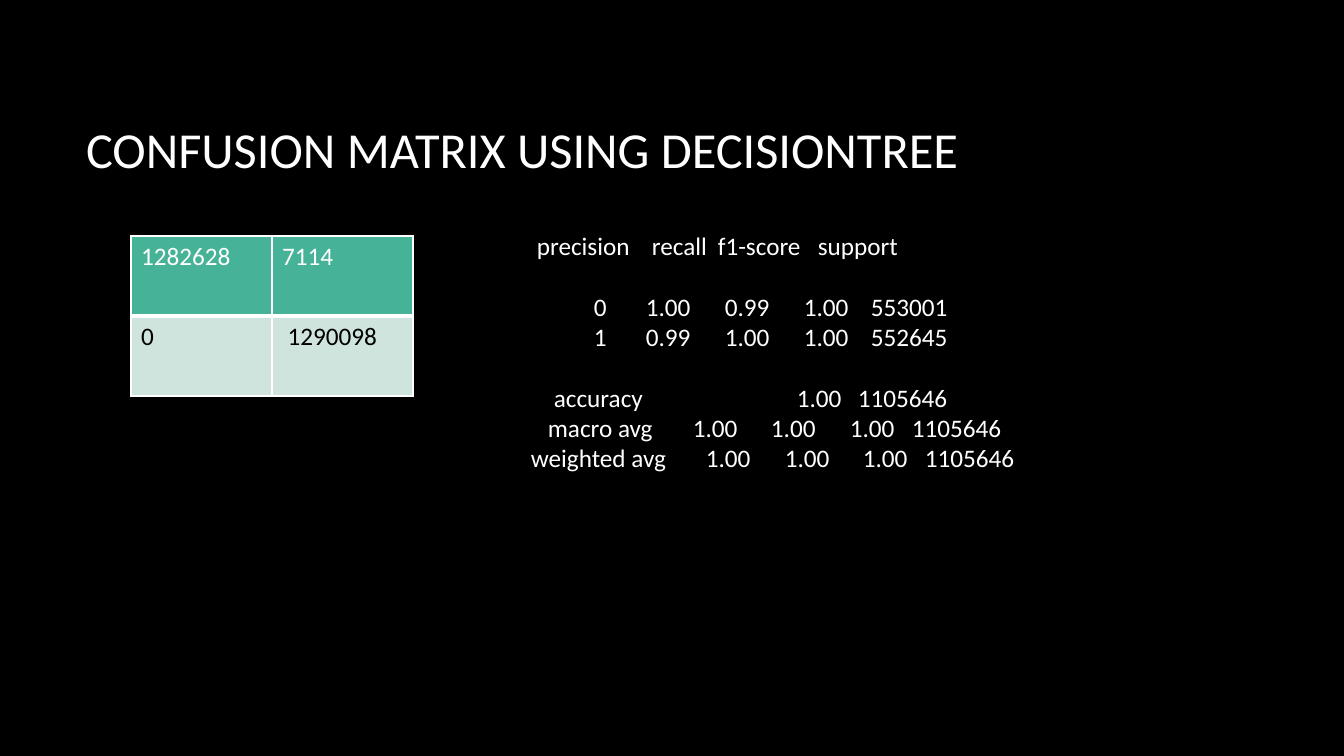
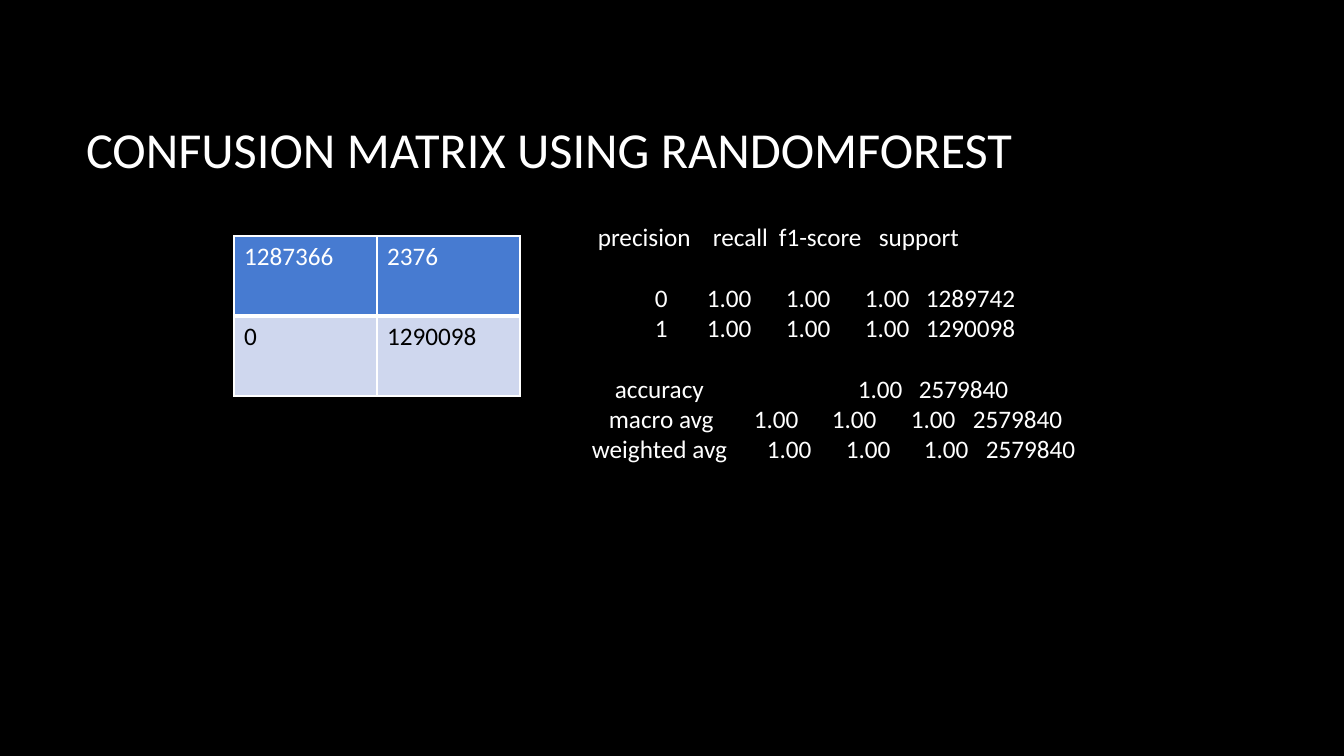
from lxml import etree
from pptx import Presentation
from pptx import util as u
from pptx.dml.color import RGBColor
from pptx.enum import text
from pptx.oxml import ns

EMU_PER_PIXEL = 914400 / 100.8
WHITE, BLACK = "FFFFFF", "000000"
FONT = "Calibri"
TITLE_BOX = (76, 68, 1117, 160)
TITLE_FORMAT = {"name": FONT, "size": u.Pt(36), "bold": False}
BODY_FORMAT = {"name": FONT, "size": u.Pt(18), "bold": False}
THIN, THICK = 1, 3
ROW_HEIGHT = 80
GROUP_GAP = u.Pt(22)
HEADER_STOPS = (6, 121, 187, 287)
CLASS_STOPS = (63, 115, 194, 273)
ACCURACY_STOPS = (23, 266, 327)
MACRO_STOPS = (17, 162, 240, 319, 381)
WEIGHTED_STOPS = (0, 175, 254, 332, 394)


def px(length):
    """Turn picture pixels into EMU."""
    return u.Emu(round(length * EMU_PER_PIXEL))


def color(value):
    """Turn a hex string into a colour."""
    return RGBColor.from_string(value)


def set_all(target, values):
    """Set each named attribute on the target."""
    for name, value in values.items():
        setattr(target, name, value)


def write(paragraph, words, font_format, ink):
    """Add one formatted run to a paragraph."""
    run = paragraph.add_run()
    run.text = words
    set_all(run.font, font_format)
    run.font.color.rgb = color(ink)


def add_child(parent, tag, **attributes):
    """Append a DrawingML element and return it."""
    return etree.SubElement(parent, ns.qn(tag), attributes)


def add_title(slide, words):
    """Place and format the title placeholder."""
    title = slide.shapes.title
    set_all(title, dict(zip(("left", "top", "width", "height"), map(px, TITLE_BOX))))
    set_all(title.text_frame, {"vertical_anchor": text.MSO_ANCHOR.MIDDLE, "word_wrap": True,
                               "auto_size": text.MSO_AUTO_SIZE.NONE})
    heading = title.text_frame.paragraphs[0]
    heading.alignment = text.PP_ALIGN.LEFT
    write(heading, words, TITLE_FORMAT, WHITE)


def add_borders(cell, top, bottom):
    """Draw white borders around a cell."""
    properties = cell._tc.get_or_add_tcPr()
    for side, points in zip("LRTB", (THIN, THIN, top, bottom)):
        line = add_child(properties, f"a:ln{side}", w=str(u.Pt(points)))
        add_child(add_child(line, "a:solidFill"), "a:srgbClr", val=WHITE)


def add_matrix(slide, left, top, column_width, counts, fills):
    """Build the two by two confusion matrix."""
    matrix = slide.shapes.add_table(2, 2, px(left), px(top), px(2 * column_width),
                                    px(2 * ROW_HEIGHT)).table
    set_all(matrix, {"first_row": False, "horz_banding": False})
    row_styles = zip(counts, fills, (WHITE, BLACK), (THIN, THICK), (THICK, THIN))
    for row, (values, fill, ink, upper, lower) in enumerate(row_styles):
        for column, value in enumerate(values):
            cell = matrix.cell(row, column)
            add_borders(cell, upper, lower)
            cell.fill.solid()
            cell.fill.fore_color.rgb = color(fill)
            write(cell.text_frame.paragraphs[0], value, BODY_FORMAT, ink)


def add_report_line(paragraph, stops, values, starts_group):
    """Write report values, each at its own tab stop."""
    paragraph.alignment = text.PP_ALIGN.LEFT
    paragraph.space_before = GROUP_GAP if starts_group else u.Pt(0)
    tabs = add_child(paragraph._p.get_or_add_pPr(), "a:tabLst")
    for stop in filter(None, stops):
        add_child(tabs, "a:tab", pos=str(px(stop)), algn="l")
    indent = "\t" if stops[0] else ""
    write(paragraph, indent + "\t".join(values), BODY_FORMAT, WHITE)


def add_report(slide, box, support_stop, classes, total):
    """Build the classification report."""
    frame = slide.shapes.add_textbox(*map(px, box)).text_frame
    frame.word_wrap = True
    class_stops = (*CLASS_STOPS, support_stop)
    averages = ("1.00", "1.00", "1.00", total)
    lines = [
        (HEADER_STOPS, ("precision", "recall", "f1-score", "support"), False),
        (class_stops, ("0", *classes[0]), True),
        (class_stops, ("1", *classes[1]), False),
        (ACCURACY_STOPS, ("accuracy", "1.00", total), True),
        (MACRO_STOPS, ("macro avg", *averages), False),
        (WEIGHTED_STOPS, ("weighted avg", *averages), False),
    ]
    for index, line in enumerate(lines):
        paragraph = frame.add_paragraph() if index else frame.paragraphs[0]
        add_report_line(paragraph, *line)


def add_model_slide(deck, model, matrix, report):
    """Build the results slide of one model."""
    slide = deck.slides.add_slide(deck.slide_layouts[5])
    add_title(slide, f"CONFUSION MATRIX USING {model}")
    add_matrix(slide, **matrix)
    add_report(slide, **report)


MODELS = [
    {
        "model": "DECISIONTREE",
        "matrix": {"left": 131, "top": 236, "column_width": 141,
                   "counts": (("1282628", "7114"), ("0", " 1290098")),
                   "fills": ("46B298", "CFE4DD")},
        "report": {"box": (521, 225, 651, 254), "support_stop": 340,
                   "classes": (("1.00", "0.99", "1.00", "553001"),
                               ("0.99", "1.00", "1.00", "552645")),
                   "total": "1105646"},
    },
    {
        "model": "RANDOMFOREST",
        "matrix": {"left": 234, "top": 236, "column_width": 143,
                   "counts": (("1287366", "2376"), ("0", "1290098")),
                   "fills": ("477BD1", "CFD7EE")},
        "report": {"box": (582, 216, 671, 254), "support_stop": 334,
                   "classes": (("1.00", "1.00", "1.00", "1289742"),
                               ("1.00", "1.00", "1.00", "1290098")),
                   "total": "2579840"},
    },
]

deck = Presentation()
set_all(deck, {"slide_width": px(1344), "slide_height": px(756)})
backdrop = deck.slide_master.background.fill
backdrop.solid()
backdrop.fore_color.rgb = color(BLACK)
for results in MODELS:
    add_model_slide(deck, **results)
deck.save("out.pptx")
